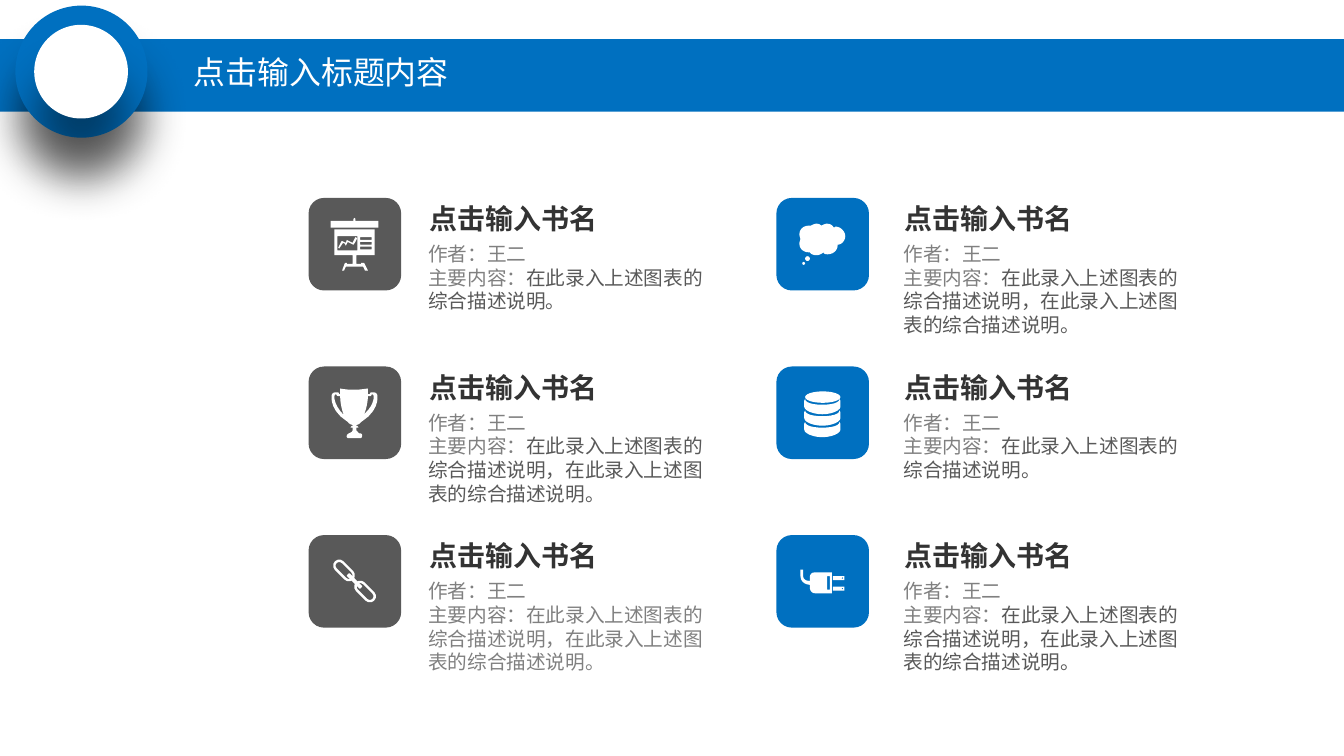
import pptx
import pptx.dml.color
import pptx.enum.shapes
import pptx.enum.text
import pptx.oxml
import pptx.oxml.ns
import pptx.util

Cm = pptx.util.Cm
Pt = pptx.util.Pt
SHAPE = pptx.enum.shapes.MSO_SHAPE
FIT = pptx.enum.text.MSO_AUTO_SIZE
ANCHOR = pptx.enum.text.MSO_ANCHOR

COLOURS = {"blue": "0070C0", "grey": "595959", "pale": "808080",
           "dark": "333333", "white": "FFFFFF"}
CJK = "Noto Sans CJK SC"
HEADING = {"size": Pt(24), "name": "Roboto Condensed"}
BOOK = {"size": Pt(21.1), "name": CJK, "bold": True}
DETAIL = {"size": Pt(14.8), "name": CJK}
SENTENCE = "在此录入上述图表的综合描述说明"

# Grid: tile left and text left of each column, then the rows
COLUMNS = [(8.2, 11.13, "grey"), (20.63, 23.76, "blue")]
TOP, PITCH, TILE = 5.26, 4.48, 2.46
UNIT = 0.0254  # one icon unit in cm, measured from the tile's corner

# Icon, number of sentences, colour of the description; row by row
BOOKS = [("board", 1, "grey"), ("cloud", 2, "grey"),
         ("trophy", 2, "grey"), ("disks", 1, "grey"),
         ("chain", 2, "pale"), ("plug", 2, "grey")]


def rectangle(left, top, width, height):
    right, bottom = left + width, top + height
    return [(left, top), (right, top), (right, bottom), (left, bottom)]


def lowered(contour, drop):
    return [tuple(value + drop * (place % 2) for place, value in enumerate(step))
            for step in contour]


# Contours: a pair is a straight step, six numbers are a Bezier step
CLOUD = [(72, 40), (72, 35, 67, 30, 62, 30), (61, 30, 61, 31, 60, 31),
         (58, 28, 56, 27, 53, 27), (51, 27, 49, 28, 47, 29),
         (46, 28, 44, 27, 42, 27), (40, 27, 38, 28, 36, 29), (34, 29),
         (28, 29, 24, 33, 24, 38), (24, 40, 25, 42, 25, 43),
         (25, 44, 24, 46, 24, 48), (24, 53, 28, 57, 34, 57), (35, 57),
         (36, 59, 39, 60, 42, 60), (44, 60, 47, 59, 49, 57),
         (50, 59, 52, 59, 54, 59), (59, 59, 64, 55, 64, 50), (64, 49),
         (68, 49, 72, 45, 72, 40)]
CUP = [(55, 58), (73, 47, 72, 33, 72, 33), (72, 31), (72, 31, 72, 27, 68, 27),
       (66, 27), (64, 27, 64, 29, 64, 29), (62, 29), (62, 23),
       (45, 26, 33, 23, 33, 23), (33, 29), (32, 29), (32, 29, 32, 27, 30, 27),
       (28, 27), (24, 27, 24, 31, 24, 31), (24, 33), (24, 33, 23, 47, 41, 58),
       (41, 58, 43, 61, 46, 61), (46, 62), (46, 62, 44, 62, 44, 64), (46, 64),
       (46, 67), (46, 67, 45, 69, 44, 69), (42, 70), (42, 70, 40, 71, 40, 72),
       (40, 72, 39, 75, 42, 75), (54, 75), (56, 75, 56, 72, 56, 72),
       (56, 72, 56, 70, 54, 70), (52, 70, 52, 69, 52, 69), (50, 67), (50, 64),
       (52, 64), (52, 62, 50, 62, 50, 62), (50, 61), (52, 61, 53, 60, 55, 58)]
RIGHT_HANDLE = [(62, 31), (64, 31), (66, 31, 66, 29, 66, 29),
                (68, 29, 68, 31, 68, 31), (68, 33), (68, 33, 68, 41, 58, 50),
                (60, 46, 62, 37, 62, 31)]
LEFT_HANDLE = [(37, 51), (27, 41, 27, 33, 27, 33), (27, 31),
               (27, 31, 27, 29, 29, 29), (29, 29, 29, 31, 31, 31), (33, 31),
               (33, 38, 35, 47, 37, 51)]
DISK = [(66, 34), (66, 38, 58, 40, 48, 40), (38, 40, 30, 38, 30, 34), (29, 36),
        (29, 42), (29, 46, 38, 50, 48, 50), (58, 50, 67, 46, 67, 42), (67, 36)]
PLUG = [(35, 44), (35, 48), (27, 48, 28, 42, 28, 42), (28, 36), (25, 36),
        (25, 42), (25, 52, 35, 52, 35, 52), (35, 55), (35, 55, 35, 61, 41, 61),
        (58, 61), (58, 39), (40, 39), (35, 39, 35, 44, 35, 44)]
PRONG = rectangle(59, 43, 12, 4)
PRONG_HOLE = [(68, 45), (69, 44), (70, 45), (69, 46)]
RAIL = [(23, 24), (47, 24), (47, 22), (48, 21), (49, 22), (49, 24), (73, 24),
        (73, 31), (23, 31)]
STAND = [(69, 60), (69, 33), (27, 33), (27, 60), (46, 60), (46, 69), (40, 69),
         (40, 68), (38, 68), (35, 76), (37, 76), (39, 72), (57, 72), (59, 76),
         (62, 76), (58, 68), (55, 68), (55, 69), (50, 69), (50, 60)]
STAND_HOLES = [rectangle(54, top, 12, 3) for top in (41, 46, 51)]
TREND = [(47, 45), (46, 47), (44, 46), (40, 44), (39, 47), (35, 45), (34, 46),
         (31, 52), (32, 53), (36, 47), (38, 48), (39, 50), (41, 46), (43, 47),
         (47, 49), (49, 46), (51, 42), (49, 41)]

OUTLINES = {
    "board": [[RAIL], [STAND, rectangle(30, 40, 21, 15), *STAND_HOLES], [TREND]],
    "cloud": [[CLOUD]],
    "trophy": [[CUP, RIGHT_HANDLE, LEFT_HANDLE]],
    "disks": [[lowered(DISK, drop)] for drop in (24, 12, 0)],
    "plug": [[PLUG, rectangle(53, 43, 3, 14)]]
            + [[lowered(PRONG, drop), lowered(PRONG_HOLE, drop)] for drop in (0, 11)],
}
ELLIPSES = {"cloud": [(30, 61, 5, 5), (27, 67, 3, 3)], "disks": [(30, 26, 37, 12)]}


def colour(name):
    return pptx.dml.color.RGBColor.from_string(COLOURS[name])


def paint(shape, name):
    shape.shadow.inherit = False
    shape.fill.solid()
    shape.fill.fore_color.rgb = colour(name)
    shape.line.fill.background()


def add_filled(shapes, kind, place, name):
    shape = shapes.add_shape(kind, *map(Cm, place))
    paint(shape, name)
    return shape


def add_shadow(shape):
    effects = shape._element.spPr.find(pptx.oxml.ns.qn("a:effectLst"))
    effects.append(pptx.oxml.parse_xml(
        f'<a:outerShdw {pptx.oxml.ns.nsdecls("a")} blurRad="{Pt(33)}" dist="{Pt(33)}" '
        'dir="5400000" algn="t" rotWithShape="0"><a:srgbClr val="000000">'
        '<a:alpha val="43000"/></a:srgbClr></a:outerShdw>'))


def flatten(contour, left, top, steps=6):
    points = [contour[0]]
    for step in contour[1:]:
        if len(step) == 2:
            points.append(step)
            continue
        corners = [points[-1], step[:2], step[2:4], step[4:]]
        for part in range(1, steps + 1):
            t = part / steps
            weights = [(1 - t) ** 3, 3 * t * (1 - t) ** 2, 3 * t * t * (1 - t), t ** 3]
            points.append(tuple(sum(weight * corner[axis] for weight, corner
                                    in zip(weights, corners)) for axis in (0, 1)))
    return [(Cm(left + x * UNIT), Cm(top + y * UNIT)) for x, y in points]


def add_outline(shapes, contours, left, top):
    first, *others = [flatten(contour, left, top) for contour in contours]
    builder = shapes.build_freeform(*first[0], scale=1.0)
    builder.add_line_segments(first[1:], close=True)
    for points in others:
        builder.move_to(*points[0])
        builder.add_line_segments(points[1:], close=True)
    paint(builder.convert_to_shape(), "white")


def add_chain(shapes, left, top):
    for middle in (0.94, 1.5):
        link = shapes.add_shape(SHAPE.ROUNDED_RECTANGLE, Cm(left + middle - 0.31),
                                Cm(top + middle - 0.13), Cm(0.62), Cm(0.26))
        link.adjustments[0] = 0.5
        link.rotation = 45
        link.shadow.inherit = False
        link.fill.background()
        link.line.color.rgb = colour("white")
        link.line.width = Pt(1.8)
    bar = add_filled(shapes, SHAPE.ROUNDED_RECTANGLE,
                     (left + 0.97, top + 1.17, 0.5, 0.1), "white")
    bar.rotation = 45


def add_tile(page, icon, left, top, name):
    shapes = page.shapes.add_group_shape().shapes
    add_filled(shapes, SHAPE.ROUNDED_RECTANGLE, (left, top, TILE, TILE), name)
    if icon == "chain":
        add_chain(shapes, left, top)
    for contours in OUTLINES.get(icon, []):
        add_outline(shapes, contours, left, top)
    for x, y, width, height in ELLIPSES.get(icon, []):
        add_filled(shapes, SHAPE.OVAL, (left + x * UNIT, top + y * UNIT,
                                        width * UNIT, height * UNIT), "white")


def add_text(page, place, paragraphs, style, **frame_values):
    box = page.shapes.add_textbox(*map(Cm, place))
    frame = box.text_frame
    for key, value in frame_values.items():
        setattr(frame, key, value)
    for number, spans in enumerate(paragraphs):
        para = frame.add_paragraph() if number else frame.paragraphs[0]
        for text, name in spans:
            span = para.add_run()
            span.text = text
            for key, value in style.items():
                setattr(span.font, key, value)
            span.font.color.rgb = colour(name)
            span.font._element.find(pptx.oxml.ns.qn("a:latin")).addnext(
                pptx.oxml.parse_xml(f'<a:ea {pptx.oxml.ns.nsdecls("a")} typeface="{CJK}"/>'))
    return frame


def add_header(page):
    add_filled(page.shapes, SHAPE.RECTANGLE, (0, 1.04, 35.71, 1.93), "blue")
    for place, name in [((0.41, 0.15, 3.51, 3.51), "blue"),
                        ((0.91, 0.66, 2.49, 2.49), "white")]:
        add_shadow(add_filled(page.shapes, SHAPE.OVAL, place, name))
    frame = add_text(page, (4.9, 1.27, 8.81, 1.4), [[("点击输入标题内容", "white")]],
                     HEADING, word_wrap=True, vertical_anchor=ANCHOR.MIDDLE)
    frame.paragraphs[0].line_spacing = 0.9


def add_book(page, number, icon, sentences, name):
    tile_left, text_left, tile_colour = COLUMNS[number % 2]
    top = TOP + PITCH * (number // 2)
    add_tile(page, icon, tile_left, top, tile_colour)
    add_text(page, (text_left + 0.02, top - 0.03, 5.03, 1.17),
             [[("点击输入书名", "dark")]], BOOK,
             word_wrap=False, auto_size=FIT.SHAPE_TO_FIT_TEXT)
    description = "，".join([SENTENCE] * sentences) + "。"
    add_text(page, (text_left, top + 1.05, 7.95, 1.55 + 0.61 * sentences),
             [[("作者：王二", "pale")], [("主要内容：", "pale"), (description, name)]],
             DETAIL, word_wrap=True, auto_size=FIT.SHAPE_TO_FIT_TEXT)


def main():
    deck = pptx.Presentation()
    deck.slide_width, deck.slide_height = Cm(35.71), Cm(20.09)
    page = deck.slides.add_slide(deck.slide_layouts[6])
    add_header(page)
    for number, book in enumerate(BOOKS):
        add_book(page, number, *book)
    deck.save("out.pptx")


if __name__ == "__main__":
    main()
